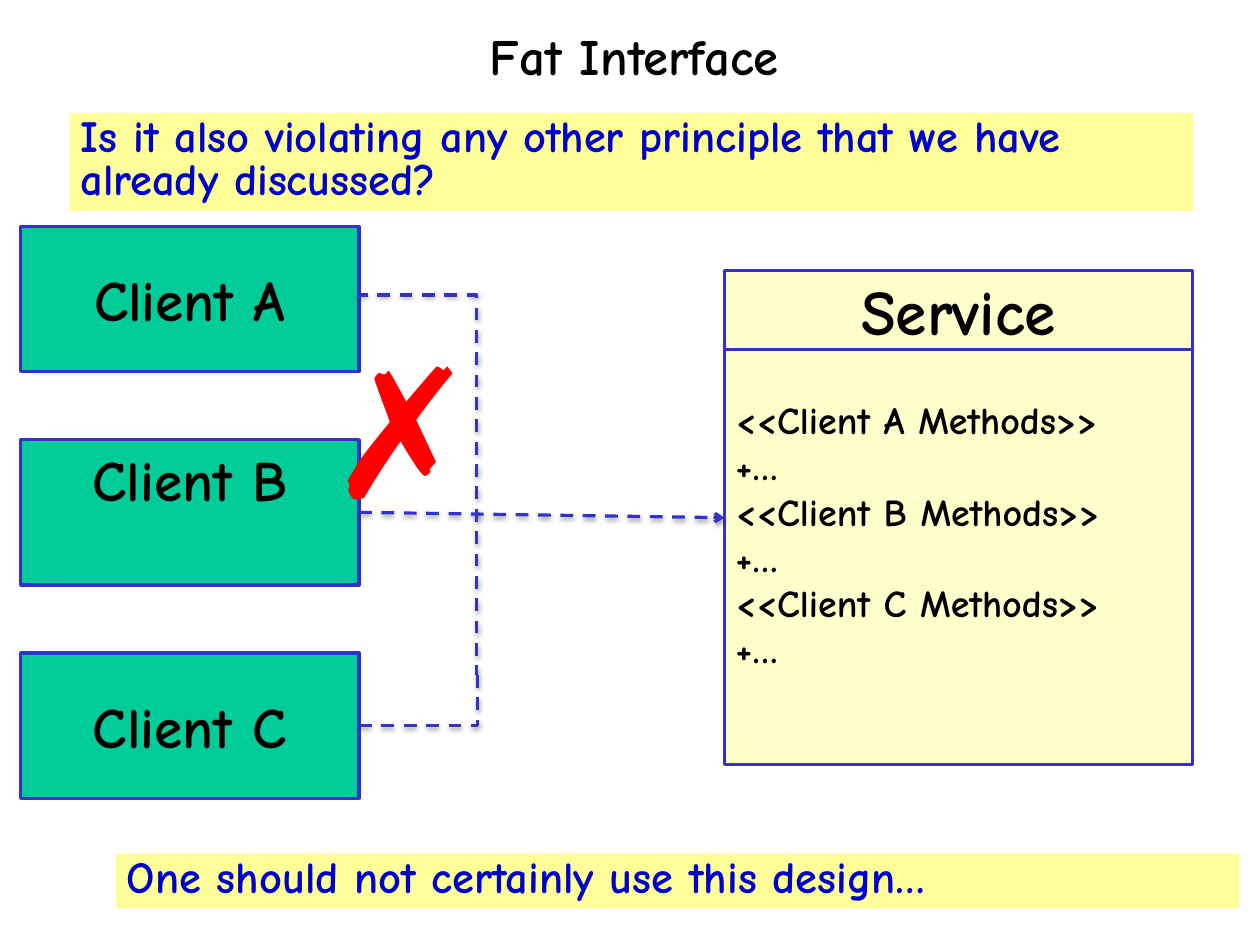
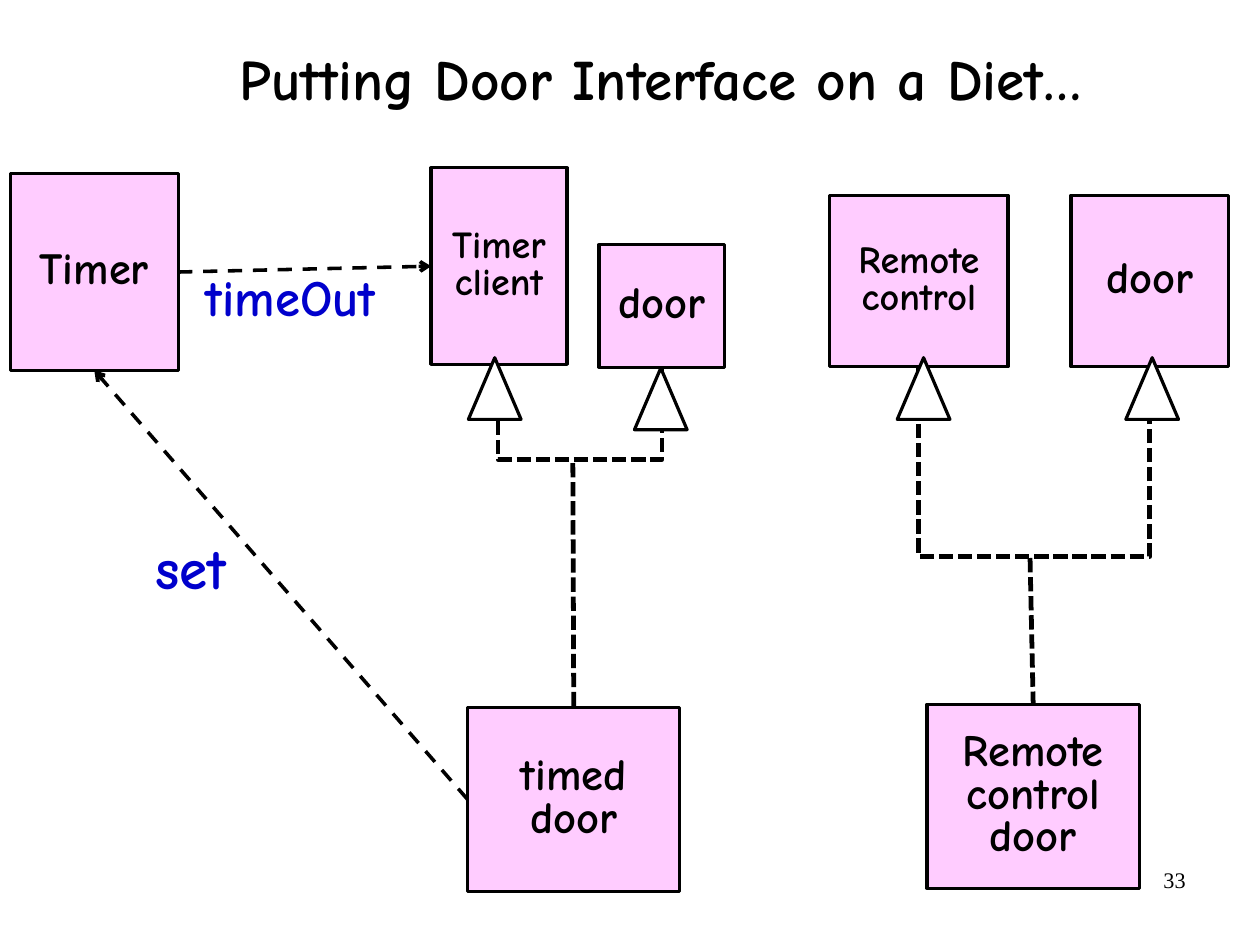
from pptx import Presentation
from pptx.dml.color import RGBColor
from pptx.enum.dml import MSO_LINE as Dash
from pptx.enum.shapes import MSO_CONNECTOR as Link, MSO_SHAPE as Shape
from pptx.enum.text import MSO_ANCHOR as Anchor, PP_ALIGN as Align
from pptx.oxml import parse_xml
from pptx.oxml.ns import nsdecls, qn
from pptx.util import Cm, Pt

BLACK = RGBColor(0x00, 0x00, 0x00)
WHITE = RGBColor(0xFF, 0xFF, 0xFF)
RED = RGBColor(0xFF, 0x00, 0x00)
BLUE = RGBColor(0x00, 0x00, 0xCC)
INDIGO = RGBColor(0x33, 0x33, 0xCC)
GREEN = RGBColor(0x00, 0xCC, 0x99)
CREAM = RGBColor(0xFF, 0xFF, 0xCC)
YELLOW = RGBColor(0xFF, 0xFF, 0x99)
PINK = RGBColor(0xFF, 0xCC, 0xFF)
COMIC, TIMES = "Comic Neue", "Times New Roman"
TOP, LEFT, BOTTOM, RIGHT = range(4)
SOFT_SHADOW = (
    '<a:outerShdw blurRad="40000" dist="20000" dir="5400000" rotWithShape="0">'
    '<a:srgbClr val="000000"><a:alpha val="38000"/></a:srgbClr></a:outerShdw>'
)

# Fat interface: lengths in cm
CLIENTS = ["Client A", "Client B", "Client C"]
CLIENT_LEFT, CLIENT_TOP, CLIENT_PITCH = 0.46, 5.03, 4.74
CLIENT_W, CLIENT_H = 7.52, 3.23
METHODS = [line for client in CLIENTS for line in (f"<<{client} Methods>>", "+…")]
SERVICE_LEFT, SERVICE_TOP, SERVICE_W = 16.1, 6.02, 10.41
HEADER_H, METHODS_H = 1.75, 9.22
BANNERS = [
    ("Is it also violating any other principle that we have already discussed?",
     (1.55, 2.51, 24.97, 2.18)),
    ("One should not certainly use this design…", (2.57, 18.97, 24.97, 1.22)),
]

# Door interface: role -> lines, size, box in cm
CLASSES = {
    "timer client": (["Timer", "client"], 24, (9.58, 3.73, 3.02, 4.37)),
    "timer": (["Timer"], 28, (0.23, 3.86, 3.73, 4.37)),
    "timed door": (["timed door"], 28, (10.39, 15.72, 4.72, 4.09)),
    "remote door": (["Remote control door"], 28, (20.6, 15.65, 4.72, 4.09)),
    "left door": (["door"], 28, (13.31, 5.44, 2.79, 2.72)),
    "remote control": (["Remote control"], 24, (18.44, 4.34, 3.96, 3.81)),
    "right door": (["door"], 28, (23.8, 4.34, 3.51, 3.81)),
}
# Inheritance: child, fork start, fork end, height of the bar, trunk top
FORKS = [
    ("timed door", (11.07, 8.08), (14.71, 8.15), 10.21, (12.73, 10.29)),
    ("remote door", (20.42, 8.15), (25.55, 8.16), 12.37, (22.89, 12.4)),
]
TRIANGLES = [(10.41, 7.95), (14.1, 8.18), (19.94, 7.95), (25.02, 7.95)]
TRIANGLE_W, TRIANGLE_H = 1.17, 1.37
CALLS = [  # label, size, label box, caller and side, callee and side
    ("set", 36, (3.2, 11.99, 2.46, 1.5), ("timed door", LEFT), ("timer", BOTTOM)),
    ("timeOut", 32, (4.32, 6.05, 4.93, 1.37), ("timer", RIGHT), ("timer client", LEFT)),
]


def cms(values):
    return [Cm(value) for value in values]


def write(shape, lines, size, color=BLACK, align=Align.LEFT, anchor=Anchor.MIDDLE,
          spacing=None, font=COMIC, bold=True, wrap=True):
    frame = shape.text_frame
    frame.word_wrap = wrap
    frame.vertical_anchor = anchor
    frame.text = "\n".join(lines)
    for paragraph in frame.paragraphs:
        paragraph.alignment = align
        paragraph.line_spacing = spacing
        paragraph.font.name, paragraph.font.size = font, Pt(size)
        paragraph.font.bold, paragraph.font.color.rgb = bold, color
    return shape


def label(slide, box, text, size, **style):
    return write(slide.shapes.add_textbox(*cms(box)), [text], size, **style)


def block(slide, box, fill, outline=None, kind=Shape.RECTANGLE):
    shape = slide.shapes.add_shape(kind, *cms(box))
    shape.shadow.inherit = False
    shape.fill.solid()
    shape.fill.fore_color.rgb = fill
    if outline is None:
        shape.line.fill.background()
    else:
        shape.line.color.rgb, shape.line.width = outline, Pt(2)
    return shape


def link(slide, start, end, color, width, dash, kind=Link.STRAIGHT, arrow=False, shadow=""):
    connector = slide.shapes.add_connector(kind, *cms(start + end))
    connector.line.color.rgb, connector.line.width = color, Pt(width)
    connector.line.dash_style = dash
    props = connector._element.spPr
    if arrow:
        props.find(qn("a:ln")).append(parse_xml(f'<a:tailEnd {nsdecls("a")} type="arrow"/>'))
    props.append(parse_xml(f'<a:effectLst {nsdecls("a")}>{shadow}</a:effectLst>'))
    return connector


def elbow(slide, start, end, bar, upright, *style, **options):
    """Three-part link whose middle part lies at bar (y if upright, else x)."""
    (x1, y1), (x2, y2) = start, end
    share = (bar - y1) / (y2 - y1) if upright else (bar - x1) / (x2 - x1)
    if upright:  # a quarter turn makes the first part vertical
        mid_x, mid_y = (x1 + x2) / 2, (y1 + y2) / 2
        half_w, half_h = (y2 - y1) / 2, (x2 - x1) / 2
        start, end = (mid_x + half_w, mid_y - half_h), (mid_x - half_w, mid_y + half_h)
    connector = link(slide, start, end, *style, kind=Link.ELBOW, **options)
    props = connector._element.spPr
    if upright:
        props.find(qn("a:xfrm")).set("rot", "16200000")
    geometry = props.find(qn("a:prstGeom"))
    for old in list(geometry):
        geometry.remove(old)
    geometry.append(parse_xml(
        f'<a:avLst {nsdecls("a")}><a:gd name="adj1" fmla="val {round(share * 100000)}"/></a:avLst>'))


def new_slide(deck, title, size, box):
    slide = deck.slides.add_slide(deck.slide_layouts[6])
    label(slide, box, title, size, align=Align.CENTER, spacing=0.88)
    return slide


def fat_interface(deck):
    slide = new_slide(deck, "Fat Interface", 32, (2.16, -0.41, 23.88, 3.48))

    # Clients
    clients = []
    for row, name in enumerate(CLIENTS):
        box = (CLIENT_LEFT, CLIENT_TOP + row * CLIENT_PITCH, CLIENT_W, CLIENT_H)
        clients.append(write(block(slide, box, GREEN, INDIGO), [name], 36, align=Align.CENTER))
    clients[1].text_frame.margin_bottom = Cm(1.6)

    # Service
    methods = block(slide, (SERVICE_LEFT, SERVICE_TOP + HEADER_H, SERVICE_W, METHODS_H),
                    CREAM, INDIGO)
    write(methods, METHODS, 24).text_frame.margin_bottom = Cm(1.15)
    header = block(slide, (SERVICE_LEFT, SERVICE_TOP, SERVICE_W, HEADER_H), CREAM, INDIGO)
    write(header, ["Service"], 40, align=Align.CENTER)

    # Dependencies
    style = (INDIGO, 2, Dash.DASH)
    edge = CLIENT_LEFT + CLIENT_W
    first_y, middle_y, last_y = (
        CLIENT_TOP + row * CLIENT_PITCH + CLIENT_H / 2 for row in range(3))
    service_y = SERVICE_TOP + (HEADER_H + METHODS_H) / 2
    dependency = link(slide, (edge, middle_y), (SERVICE_LEFT, service_y), *style,
                      arrow=True, shadow=SOFT_SHADOW)
    dependency.begin_connect(clients[1], RIGHT)
    meeting = (10.59, 14.99)
    elbow(slide, (edge, first_y), meeting, 6.55, True, *style, shadow=SOFT_SHADOW)
    elbow(slide, (edge, last_y), meeting, 10.62, False, *style, shadow=SOFT_SHADOW)

    # Banners and cross
    for text, box in BANNERS:
        write(block(slide, box, YELLOW), [text], 28, BLUE, anchor=Anchor.TOP, spacing=0.8)
    label(slide, (7.49, 6.65, 4.39, 5.18), "✗", 115, color=RED, font=TIMES, anchor=Anchor.TOP)


def door_interface(deck):
    slide = new_slide(deck, "Putting Door Interface on a Diet…", 36, (1.14, 0.08, 27.08, 3.5))
    label(slide, (20.07, 19.13, 6.53, 1.45), "33", 14, font=TIMES, bold=False,
          align=Align.RIGHT, anchor=Anchor.TOP)

    # Classes
    classes = {
        role: write(block(slide, box, PINK, BLACK), lines, size, align=Align.CENTER, spacing=0.8)
        for role, (lines, size, box) in CLASSES.items()
    }

    # Inheritance
    style = (BLACK, 3, Dash.SQUARE_DOT)
    for child, start, end, bar, trunk_top in FORKS:
        elbow(slide, start, end, bar, True, *style)
        link(slide, trunk_top, trunk_top, *style).end_connect(classes[child], TOP)
    for corner in TRIANGLES:
        block(slide, corner + (TRIANGLE_W, TRIANGLE_H), WHITE, BLACK, Shape.ISOSCELES_TRIANGLE)

    # Calls
    for text, size, box, (caller, out_side), (callee, in_side) in CALLS:
        label(slide, box, text, size, color=BLUE, anchor=Anchor.TOP, spacing=0.8, wrap=False)
        call = link(slide, (0, 0), (0, 0), BLACK, 2.25, Dash.DASH, arrow=True)
        call.begin_connect(classes[caller], out_side)
        call.end_connect(classes[callee], in_side)


def main():
    deck = Presentation()
    deck.slide_width, deck.slide_height = Cm(28), Cm(21)
    fat_interface(deck)
    door_interface(deck)
    deck.save("out.pptx")


if __name__ == "__main__":
    main()
